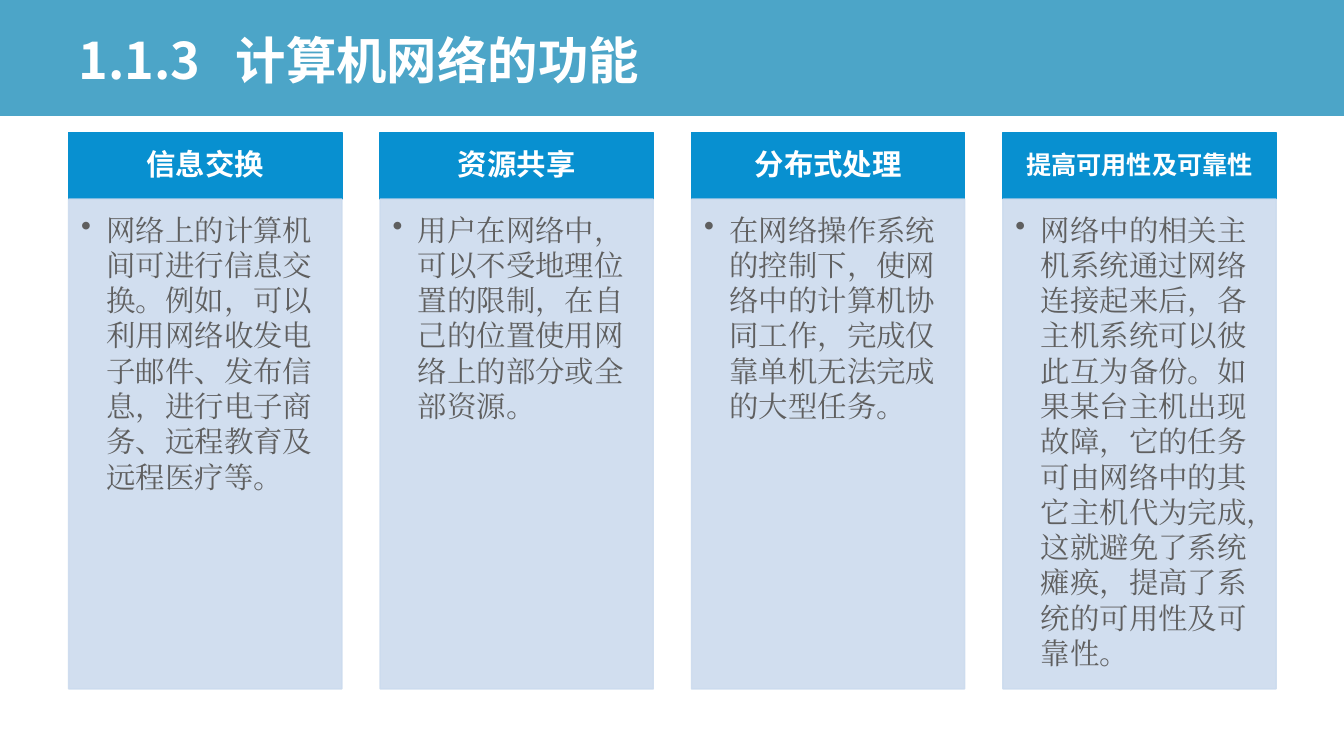
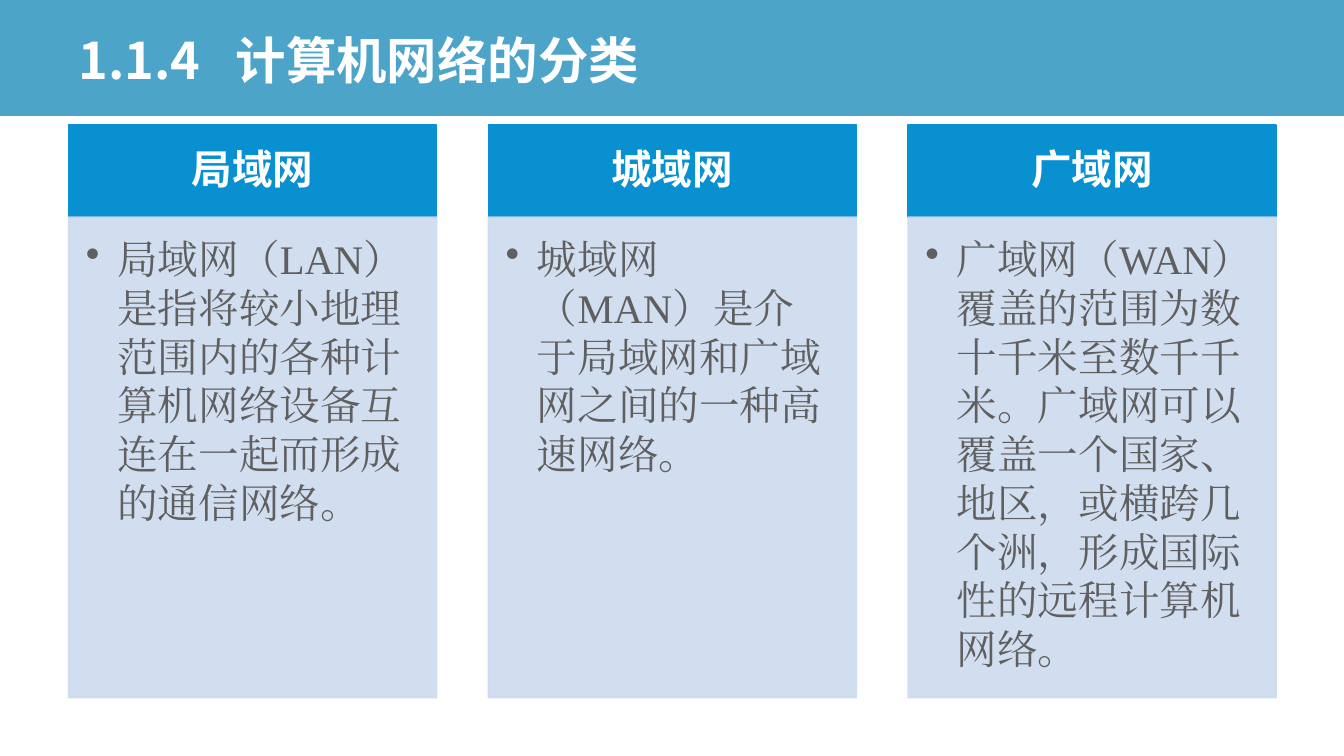
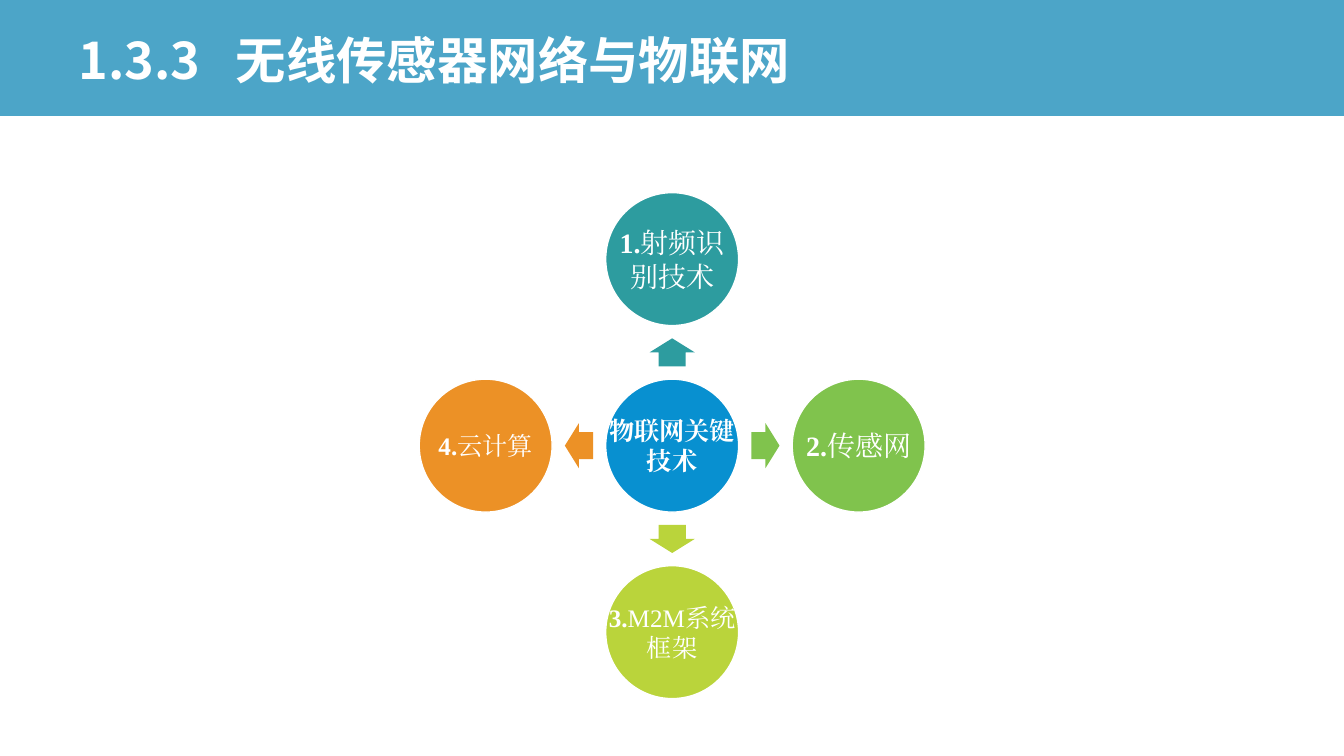
from dataclasses import dataclass

from lxml.etree import SubElement
from pptx import Presentation
from pptx.dml.color import RGBColor
from pptx.enum.shapes import MSO_SHAPE
from pptx.enum.text import MSO_ANCHOR, PP_ALIGN
from pptx.oxml.ns import qn
from pptx.util import Cm, Pt


@dataclass(frozen=True)
class Theme:
    """Colours, fonts, type sizes and shared lengths in centimetres."""
    band: str = "0080B2"
    blue: str = "0890D0"
    panel: str = "CCDBEE"
    body: str = "5F5F5F"
    white: str = "FFFFFF"
    teal: str = "2D9C9F"
    green: str = "80C34D"
    lime: str = "BAD43B"
    orange: str = "EC9126"
    heading_font: str = "Noto Sans CJK SC"
    body_font: str = "Times New Roman"
    title_size: int = 36
    large_size: int = 29
    column_size: int = 21
    node_size: int = 20
    small_size: int = 18
    width: float = 33.87
    height: float = 19.05
    band_height: float = 2.92
    margin: float = 1.73
    content_width: float = 30.43


THEME = Theme()

FUNCTIONS = [
    ("信息交换", THEME.column_size,
     "网络上的计算机间可进行信息交换。例如，可以利用网络收发电子邮件、发布信息，进行电子商务、远程教育及远程医疗等。"),
    ("资源共享", THEME.column_size,
     "用户在网络中，可以不受地理位置的限制，在自己的位置使用网络上的部分或全部资源。"),
    ("分布式处理", THEME.column_size,
     "在网络操作系统的控制下，使网络中的计算机协同工作，完成仅靠单机无法完成的大型任务。"),
    ("提高可用性及可靠性", THEME.small_size,
     "网络中的相关主机系统通过网络连接起来后，各主机系统可以彼此互为备份。如果某台主机出现故障，"
     "它的任务可由网络中的其它主机代为完成，这就避免了系统瘫痪，提高了系统的可用性及可靠性。"),
]

CATEGORIES = [
    ("局域网", THEME.large_size,
     "局域网（LAN）是指将较小地理范围内的各种计算机网络设备互连在一起而形成的通信网络。"),
    ("城域网", THEME.large_size,
     "城域网（MAN）是介于局域网和广域网之间的一种高速网络。"),
    ("广域网", THEME.large_size,
     "广域网（WAN）覆盖的范围为数十千米至数千千米。广域网可以覆盖一个国家、地区，"
     "或横跨几个洲，形成国际性的远程计算机网络。"),
]

TECHNOLOGIES = [
    ("1.", "射频识别技术", THEME.node_size, THEME.teal, (0, -1), 270),
    ("2.", "传感网", THEME.node_size, THEME.green, (1, 0), 0),
    ("3.", "M2M系统框架", THEME.small_size, THEME.lime, (0, 1), 90),
    ("4.", "云计算", THEME.small_size, THEME.orange, (-1, 0), 180),
]


def add_figure(page, kind, place, fill, line=None, opacity=100):
    """Add a preset shape with a flat fill and an optional 1 pt outline."""
    figure = page.shapes.add_shape(kind, *map(Cm, place))
    figure.shadow.inherit = False
    figure.fill.solid()
    figure.fill.fore_color.rgb = RGBColor.from_string(fill)
    if line:
        figure.line.color.rgb = RGBColor.from_string(line)
        figure.line.width = Pt(1)
    else:
        figure.line.fill.background()
    if opacity < 100:
        for color in figure._element.xpath("./p:spPr//a:srgbClr"):
            SubElement(color, qn("a:alpha")).set("val", str(opacity * 1000))
    return figure


def set_frame(box, anchor, insets):
    """Prepare a text frame and return its first paragraph."""
    frame = box.text_frame
    frame.word_wrap = True
    frame.vertical_anchor = anchor
    (frame.margin_left, frame.margin_top,
     frame.margin_right, frame.margin_bottom) = map(Cm, insets)
    return frame.paragraphs[0]


def add_span(para, text, size, font, color=THEME.white, bold=False):
    """Add one formatted run for Latin and Chinese text."""
    span = para.add_run()
    span.text = text
    span.font.size = Pt(size)
    span.font.bold = bold
    span.font.color.rgb = RGBColor.from_string(color)
    span.font.name = font
    properties = span._r.get_or_add_rPr()
    properties.set("lang", "zh-CN")
    SubElement(properties, qn("a:ea")).set("typeface", font)


def set_bullet(para, indent):
    """Give a paragraph a round bullet with a hanging indent."""
    properties = para._p.get_or_add_pPr()
    properties.set("marL", str(Cm(indent)))
    properties.set("indent", str(-Cm(indent)))
    SubElement(properties, qn("a:buChar")).set("char", "•")


def set_tab(para, position):
    """Set one left tab stop."""
    tabs = SubElement(para._p.get_or_add_pPr(), qn("a:tabLst"))
    tab = SubElement(tabs, qn("a:tab"))
    tab.set("pos", str(Cm(position)))
    tab.set("algn", "l")


def add_page(deck, number, title):
    """Add a blank page with the title band and the numbered title."""
    page = deck.slides.add_slide(deck.slide_layouts[6])
    add_figure(page, MSO_SHAPE.RECTANGLE,
               (0, 0, THEME.width, THEME.band_height), THEME.band, opacity=70)
    box = page.shapes.add_textbox(
        Cm(THEME.margin), Cm(0.48), Cm(THEME.content_width), Cm(2.21))
    para = set_frame(box, MSO_ANCHOR.MIDDLE, (0.25, 0.13, 0.25, 0.13))
    para.line_spacing = 0.9
    set_tab(para, 3.96)
    add_span(para, f"{number}\t{title}", THEME.title_size,
             THEME.heading_font, bold=True)
    return page


def add_column(page, column, place, header_height, body_size, indent):
    """Add a header block and the bulleted panel below it."""
    heading, size, text = column
    left, top, width, height = place
    header = add_figure(page, MSO_SHAPE.RECTANGLE,
                        (left, top, width, header_height),
                        THEME.blue, THEME.blue)
    side, edge = 0.02 * size, 0.011 * size
    para = set_frame(header, MSO_ANCHOR.MIDDLE, (side, edge, side, edge))
    para.alignment = PP_ALIGN.CENTER
    para.line_spacing = 0.9
    add_span(para, heading, size, THEME.heading_font, bold=True)

    panel = add_figure(page, MSO_SHAPE.RECTANGLE,
                       (left, top + header_height, width,
                        height - header_height),
                       THEME.panel, THEME.panel, opacity=90)
    insets = [ratio * body_size for ratio in (0.015, 0.015, 0.02, 0.022)]
    para = set_frame(panel, MSO_ANCHOR.TOP, insets)
    para.alignment = PP_ALIGN.LEFT
    para.line_spacing = Pt(1.2 * body_size)
    set_bullet(para, indent)
    add_span(para, text, body_size, THEME.body_font, THEME.body)


def add_columns(page, columns, top, height, header_height, body_size, indent):
    """Spread equal columns over the content width."""
    gap_ratio = 0.14
    count = len(columns)
    width = THEME.content_width / (count + (count - 1) * gap_ratio)
    for index, column in enumerate(columns):
        left = THEME.margin + index * width * (1 + gap_ratio)
        add_column(page, column, (left, top, width, height),
                   header_height, body_size, indent)


def centred(center, width, height):
    """Return the place of a rectangle around a centre."""
    return center[0] - width / 2, center[1] - height / 2, width, height


def add_node(page, center, spans, size, fill):
    """Add a circle with a label as wide as the circle."""
    place = centred(center, 3.35, 3.35)
    add_figure(page, MSO_SHAPE.OVAL, place, fill, THEME.white)
    box = page.shapes.add_textbox(*map(Cm, place))
    para = set_frame(box, MSO_ANCHOR.MIDDLE, (0.07,) * 4)
    para.alignment = PP_ALIGN.CENTER
    para.line_spacing = Pt(1.2 * size)
    for text, bold in spans:
        add_span(para, text, size, THEME.body_font, bold=bold)


def add_arrow(page, center, rotation, fill):
    """Add a block arrow turned towards its node."""
    arrow = add_figure(page, MSO_SHAPE.RIGHT_ARROW,
                       centred(center, 0.71, 1.14), fill)
    arrow.adjustments[0] = 0.6
    arrow.adjustments[1] = 0.5
    arrow.rotation = rotation


def add_radial(page, hub, technologies):
    """Add a hub with arrows to the nodes around it."""
    center_x, center_y, reach = 16.94, 11.23, 4.7
    add_node(page, (center_x, center_y), [(hub, True)],
             THEME.small_size, THEME.blue)
    for number, name, size, fill, (across, down), rotation in technologies:
        halfway, end = [
            (center_x + across * distance, center_y + down * distance)
            for distance in (reach / 2, reach)]
        add_arrow(page, halfway, rotation, fill)
        add_node(page, end, [(number, True), (name, False)], size, fill)


def main():
    """Build and save the deck."""
    deck = Presentation()
    deck.slide_width = Cm(THEME.width)
    deck.slide_height = Cm(THEME.height)

    page = add_page(deck, "1.1.3", "计算机网络的功能")
    add_columns(page, FUNCTIONS, top=3.34, height=14.02, header_height=1.68,
                body_size=THEME.column_size, indent=0.64)

    page = add_page(deck, "1.1.4", "计算机网络的分类")
    add_columns(page, CATEGORIES, top=3.15, height=14.43, header_height=2.32,
                body_size=THEME.large_size, indent=0.79)

    page = add_page(deck, "1.3.3", "无线传感器网络与物联网")
    add_radial(page, "物联网关键技术", TECHNOLOGIES)

    deck.save("out.pptx")


if __name__ == "__main__":
    main()
